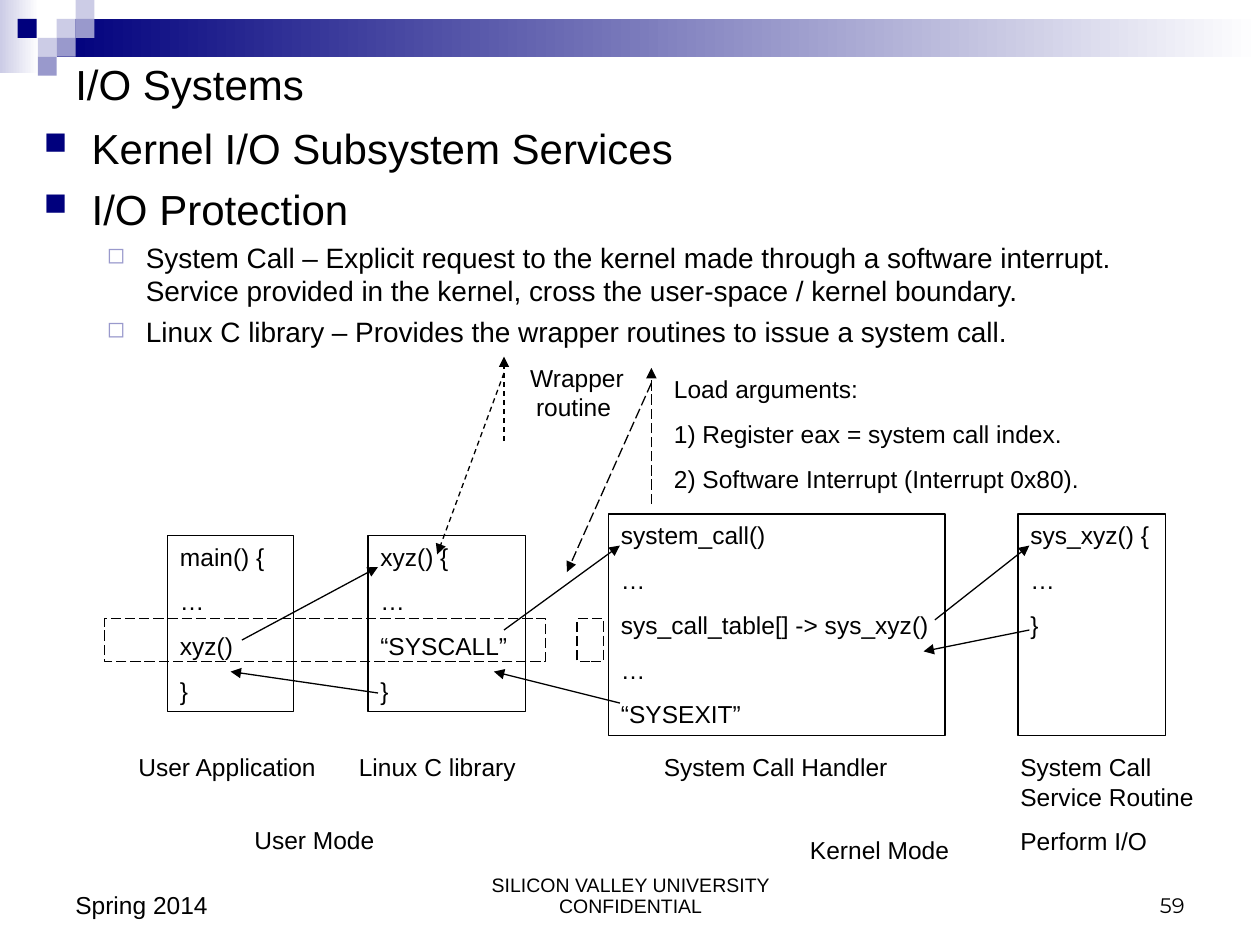
from lxml import etree
from pptx import Presentation
from pptx import util as u
from pptx.dml.color import RGBColor
from pptx.enum import dml, shapes, text
from pptx.oxml.ns import qn

Inches, Pt = u.Inches, u.Pt
COLORS = {"ink": "000000", "navy": "00007D", "violet": "9999CC", "lavender": "CCCCE6", "white": "FFFFFF"}
RGB = {name: RGBColor.from_string(value) for name, value in COLORS.items()}
LEFT, CENTER, RIGHT = text.PP_ALIGN.LEFT, text.PP_ALIGN.CENTER, text.PP_ALIGN.RIGHT
TOP, MIDDLE, BOTTOM = text.MSO_ANCHOR.TOP, text.MSO_ANCHOR.MIDDLE, text.MSO_ANCHOR.BOTTOM
DASH, LONG_DASH = dml.MSO_LINE.DASH, dml.MSO_LINE.LONG_DASH

prs = Presentation()
prs.slide_width, prs.slide_height = Inches(10), Inches(7.5)
slide = prs.slides.add_slide(prs.slide_layouts[6])


def write(holder, lines, size=14, align=LEFT, anchor=TOP, font="Arial", gap=8.8):
    frame = holder.text_frame
    frame.word_wrap = True
    frame.vertical_anchor = anchor
    for i, line in enumerate(lines):
        paragraph = frame.paragraphs[0] if i == 0 else frame.add_paragraph()
        paragraph.alignment = align
        if i:
            paragraph.space_before = Pt(gap)
        run = paragraph.add_run()
        run.text = line
        run.font.size = Pt(size)
        run.font.name = font
        run.font.color.rgb = RGB["ink"]
    return frame


def arrow(x1, y1, x2, y2, dash=None):
    line = slide.shapes.add_connector(
        shapes.MSO_CONNECTOR.STRAIGHT, Inches(x1), Inches(y1), Inches(x2), Inches(y2))
    line.line.color.rgb = RGB["ink"]
    line.line.width = Pt(0.75)
    if dash:
        line.line.dash_style = dash
    etree.SubElement(line.line._get_or_add_ln(), qn("a:tailEnd"), type="triangle")
    etree.SubElement(line._element.spPr, qn("a:effectLst"))


for x, y, w, h, start, end in [
    (0, 0, 0.31, 0.58, "lavender", "white"),
    (0.45, 0.15, 9.55, 0.3, "navy", "white"),
    (0.45, 0.15, 0.15, 0.15, "lavender", None),
    (0.6, 0, 0.15, 0.15, "lavender", None),
    (0.6, 0.15, 0.15, 0.15, "violet", None),
    (0.3, 0.3, 0.15, 0.15, "lavender", None),
    (0.14, 0.15, 0.15, 0.15, "navy", None),
    (0.45, 0.3, 0.15, 0.15, "violet", None),
    (0.3, 0.45, 0.15, 0.15, "violet", None),
]:
    tile = slide.shapes.add_shape(
        shapes.MSO_SHAPE.RECTANGLE, Inches(x), Inches(y), Inches(w), Inches(h))
    tile.shadow.inherit = False
    tile.line.fill.background()
    if end:
        tile.fill.gradient()
        tile.fill.gradient_angle = 0
        for stop, color in zip(tile.fill.gradient_stops, (start, end)):
            stop.color.rgb = RGB[color]
    else:
        tile.fill.solid()
        tile.fill.fore_color.rgb = RGB[start]

for x, y, w, h, words, size, align, anchor, font in [
    (3.42, 6.83, 3.17, 0.5, "SILICON VALLEY UNIVERSITY CONFIDENTIAL", 11.1, CENTER, BOTTOM, "Arial"),
    (7.17, 6.83, 2.33, 0.5, "59", 12, RIGHT, BOTTOM, "Montserrat"),
    (0.5, 6.83, 2.33, 0.52, "Spring 2014", 14, LEFT, BOTTOM, "Arial"),
    (0.5, 0.5, 9, 0.33, "I/O Systems", 24, LEFT, MIDDLE, "Arial"),
]:
    heading = slide.shapes.add_textbox(Inches(x), Inches(y), Inches(w), Inches(h))
    frame = write(heading, [words], size, align, anchor, font)
    if align == CENTER:
        frame.paragraphs[0].line_spacing = 0.9

outline = slide.shapes.add_textbox(Inches(0.25), Inches(0.92), Inches(9), Inches(5.83)).text_frame
outline.word_wrap = True
levels = [(24, 0.38, 0.38, 6, "■", "navy", 75), (16, 0.81, 0.31, 4, "◻", "violet", 80)]
for i, (level, words) in enumerate([
    (0, "Kernel I/O Subsystem Services"),
    (0, "I/O Protection"),
    (1, "System Call – Explicit request to the kernel made through a software interrupt. "
        "Service provided in the kernel, cross the user-space / kernel boundary."),
    (1, "Linux C library – Provides the wrapper routines to issue a system call."),
]):
    size, margin, hanging, gap, mark, color, percent = levels[level]
    point = outline.paragraphs[0] if i == 0 else outline.add_paragraph()
    props = point._p.get_or_add_pPr()
    props.set("marL", str(Inches(margin)))
    props.set("indent", str(-Inches(hanging)))
    bullet_color = etree.SubElement(props, qn("a:buClr"))
    etree.SubElement(bullet_color, qn("a:srgbClr"), val=COLORS[color])
    etree.SubElement(props, qn("a:buSzPct"), val=str(percent * 1000))
    etree.SubElement(props, qn("a:buChar"), char=mark)
    point.level = level
    if i:
        point.space_before = Pt(gap)
    run = point.add_run()
    run.text = words
    run.font.size = Pt(size)
    run.font.name = "Arial"
    run.font.color.rgb = RGB["ink"]

for x, y, w, h, code, dash in [
    (1.33, 4.25, 1, 1.4, ["main() {", "…", "xyz()", "}"], None),
    (2.92, 4.25, 1.25, 1.4, ["xyz() {", "…", "“SYSCALL”", "}"], None),
    (4.83, 4.08, 2.67, 1.76,
     ["system_call()", "…", "sys_call_table[] -> sys_xyz()", "…", "“SYSEXIT”"], None),
    (8.08, 4.08, 1.17, 1.76, ["sys_xyz() {", "…", "}"], None),
    (0.83, 4.91, 3.5, 0.34, [], LONG_DASH),
    (4.58, 4.91, 0.21, 0.34, [], LONG_DASH),
]:
    routine = slide.shapes.add_shape(
        shapes.MSO_SHAPE.RECTANGLE, Inches(x), Inches(y), Inches(w), Inches(h))
    routine.shadow.inherit = False
    routine.fill.background()
    routine.line.color.rgb = RGB["ink"]
    routine.line.width = Pt(0.75)
    if dash:
        routine.line.dash_style = dash
    write(routine, code)

for x, y, w, h, lines, align in [
    (1, 5.92, 1.67, 0.34, ["User Application"], LEFT),
    (2.75, 5.92, 1.67, 0.34, ["Linux C library"], LEFT),
    (5.17, 5.92, 2, 0.34, ["System Call Handler"], LEFT),
    (8, 5.92, 1.67, 0.92, ["System Call Service Routine", "Perform I/O"], LEFT),
    (1.92, 6.5, 1.25, 0.34, ["User Mode"], LEFT),
    (6.33, 6.58, 1.42, 0.34, ["Kernel Mode"], LEFT),
    (4.08, 2.83, 1, 0.67, ["Wrapper routine "], CENTER),
    (5.25, 2.92, 3.75, 1.08, ["Load arguments:", "1) Register eax = system call index.",
                              "2) Software Interrupt (Interrupt 0x80)."], LEFT),
]:
    label = slide.shapes.add_textbox(Inches(x), Inches(y), Inches(w), Inches(h))
    write(label, lines, align=align)

for call in [
    (4, 5, 4.92, 4.33),
    (4.92, 5.58, 3.92, 5.33),
    (1.92, 5.08, 3, 4.5),
    (3, 5.5, 1.83, 5.33),
    (7.42, 4.92, 8.17, 4.33),
    (8.17, 5, 7.33, 5.17),
    (4, 2.96, 3.47, 4.4, DASH),
    (4, 3.5, 4, 2.83, DASH),
    (5.17, 3.04, 4.5, 4.54, LONG_DASH),
    (5.17, 4, 5.17, 2.92, LONG_DASH),
]:
    arrow(*call)

prs.save("out.pptx")
